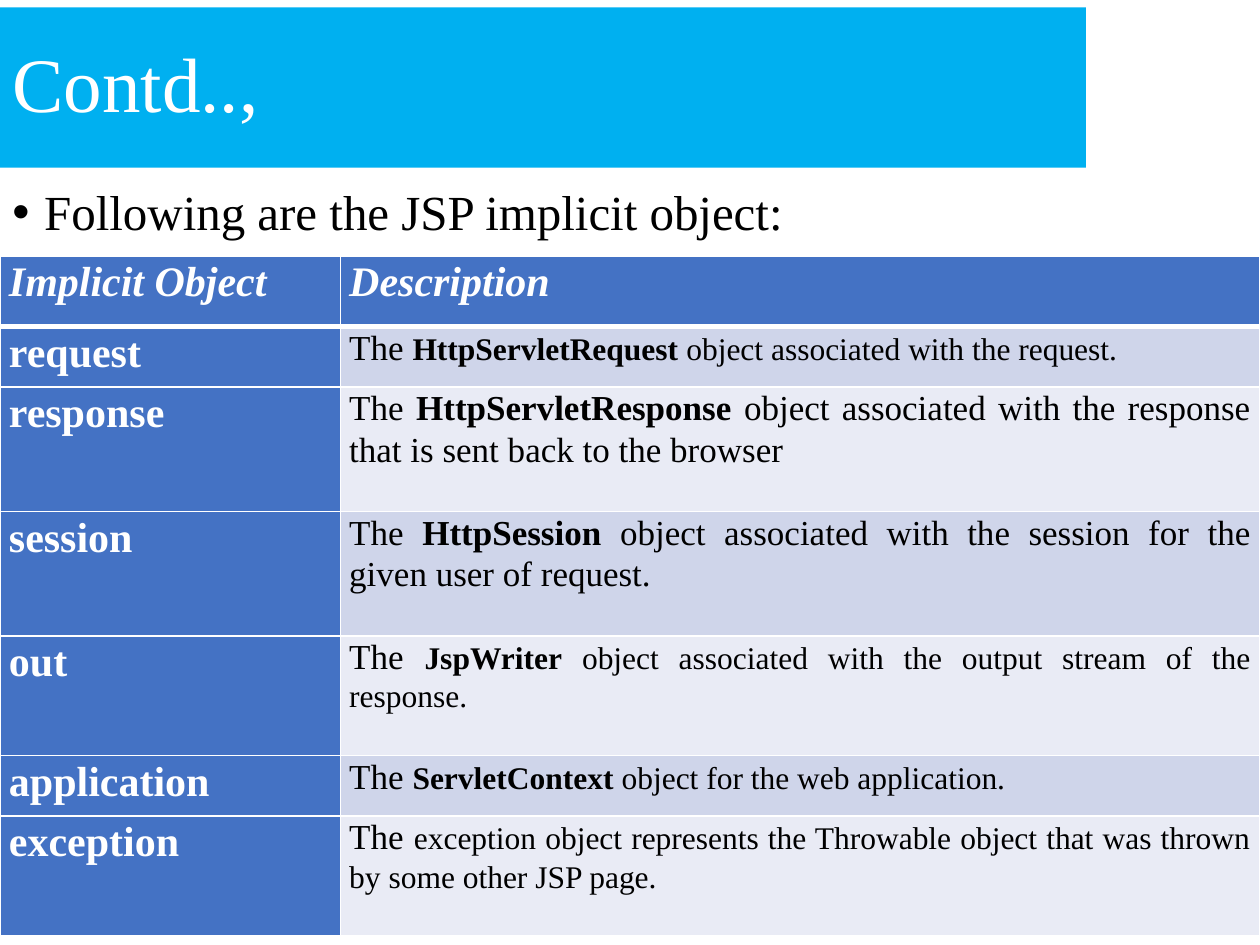
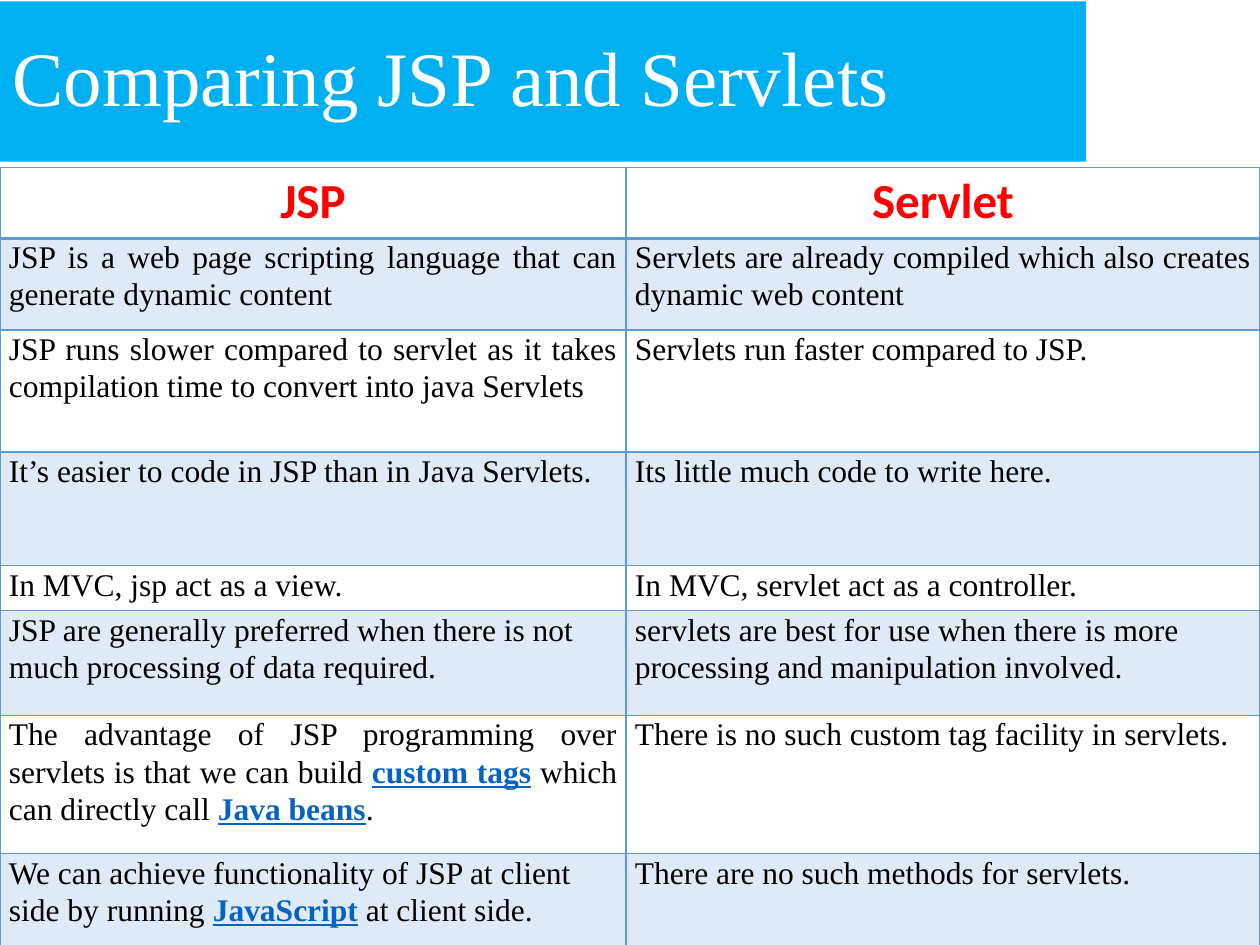
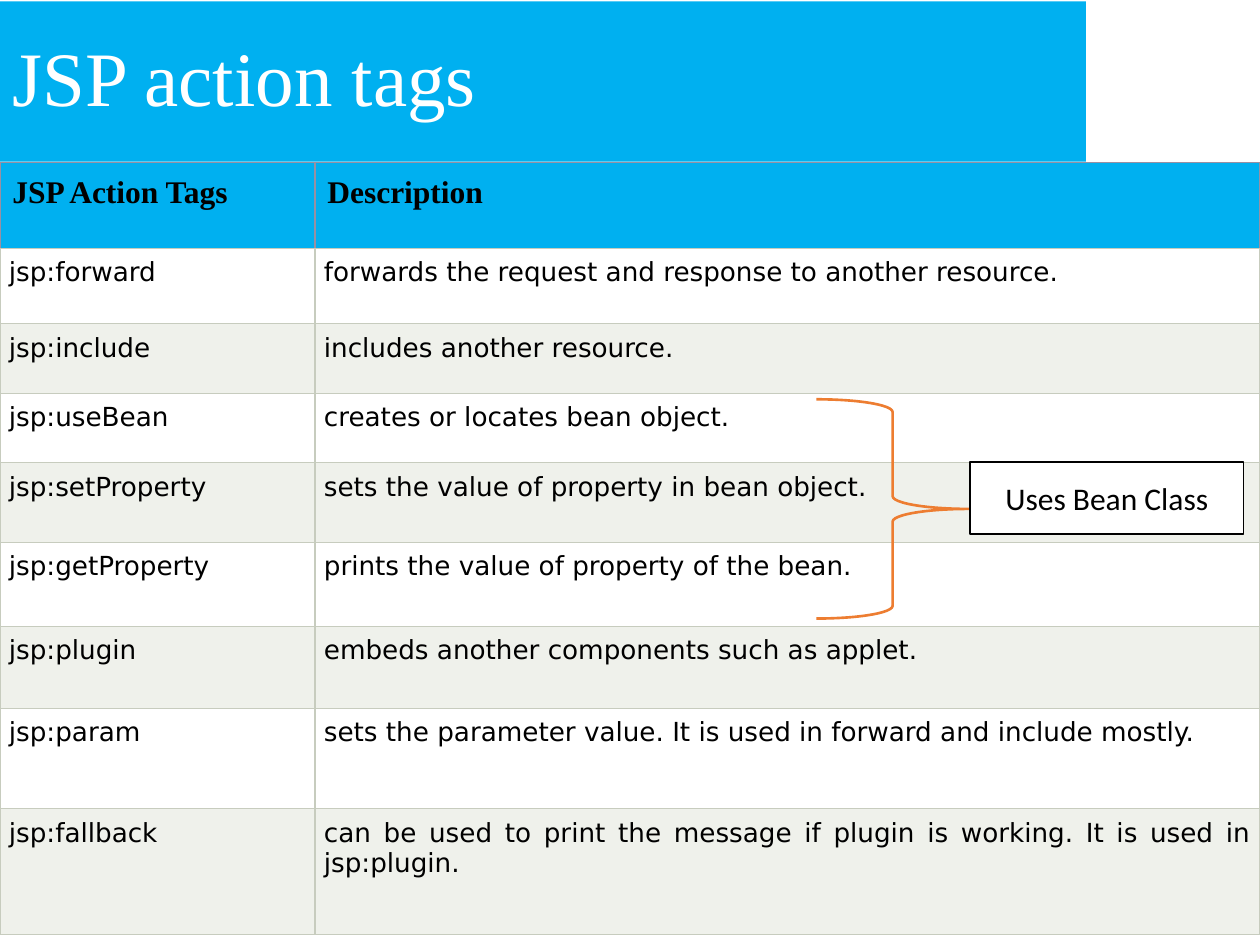
from lxml import etree
from pptx import Presentation
from pptx import util as u
from pptx.dml.color import RGBColor
from pptx.enum import shapes, text
from pptx.oxml import ns

BAND = RGBColor(0x00, 0xB0, 0xF0)
WHITE = RGBColor(0xFF, 0xFF, 0xFF)
BLACK = RGBColor(0x00, 0x00, 0x00)
RED = RGBColor(0xFF, 0x00, 0x00)
LINK = RGBColor(0x05, 0x63, 0xC1)
ORANGE = RGBColor(0xED, 0x7D, 0x31)
BLUE = RGBColor(0x44, 0x72, 0xC4)
LAVENDER = RGBColor(0xCF, 0xD5, 0xEA)
PALE_LAVENDER = RGBColor(0xE9, 0xEB, 0xF5)
SKY = RGBColor(0x5B, 0x9B, 0xD5)
PALE_SKY = RGBColor(0xDE, 0xEB, 0xF7)
SAGE = RGBColor(0xC7, 0xCC, 0xBE)
PALE_SAGE = RGBColor(0xEF, 0xF1, 0xEB)
MAUVE = RGBColor(0x98, 0x90, 0xA3)

SERIF = "Times New Roman"
SANS = "Calibri"
MONO_LIKE = "DejaVu Sans"
LEFT = text.PP_ALIGN.LEFT
CENTER = text.PP_ALIGN.CENTER
JUSTIFY = text.PP_ALIGN.JUSTIFY


def write(paragraph, words, font, size, colour, bold=False, align=LEFT, spacing=1.0):
    paragraph.alignment = align
    paragraph.line_spacing = spacing
    for index, part in enumerate(words.split("*")):
        if part:
            run = paragraph.add_run()
            run.text = part
            run.font.name = font
            run.font.size = u.Pt(size)
            run.font.color.rgb = colour
            run.font.bold = bold or index % 2 == 1


def draw_edge(cell, position, side, colour, width):
    properties = cell._tc.get_or_add_tcPr()
    line = etree.Element(ns.qn("a:ln" + side), w=str(u.Pt(width)))
    fill = etree.SubElement(line, ns.qn("a:solidFill"))
    etree.SubElement(fill, ns.qn("a:srgbClr"), val=str(colour))
    properties.insert(position, line)


prs = Presentation()
prs.slide_width = u.Cm(25.4)
prs.slide_height = u.Cm(19.05)

slides = []
for heading, top in [("Contd..,", 0.15), ("Comparing JSP and Servlets", 0.03), ("JSP action tags", 0.03)]:
    slide = prs.slides.add_slide(prs.slide_layouts[5])
    title = slide.shapes.title
    title.left, title.top = u.Cm(0), u.Cm(top)
    title.width, title.height = u.Cm(21.89), u.Cm(3.23)
    title.fill.solid()
    title.fill.fore_color.rgb = BAND
    title.text_frame.vertical_anchor = text.MSO_ANCHOR.MIDDLE
    write(title.text_frame.paragraphs[0], heading, SERIF, 44, WHITE, spacing=0.9)
    slides.append(slide)
objects_slide, comparison_slide, actions_slide = slides

intro = objects_slide.shapes.add_textbox(u.Cm(0), u.Cm(3.66), u.Cm(24.03), u.Cm(1.4))
intro.text_frame.word_wrap = True
intro_line = intro.text_frame.paragraphs[0]
write(intro_line, "Following are the JSP implicit object:", SERIF, 28, BLACK, spacing=0.9)
intro_properties = intro_line._p.get_or_add_pPr()
intro_properties.set("marL", str(u.Cm(0.64)))
intro_properties.set("indent", str(-u.Cm(0.64)))
etree.SubElement(intro_properties, ns.qn("a:buFont"), typeface="Arial")
etree.SubElement(intro_properties, ns.qn("a:buChar"), char="•")

grids = [
    (objects_slide, 5.16, [6.86, 18.54], [1.42, 1.22, 2.51, 2.51, 2.41, 1.22, 2.41],
     WHITE, WHITE, 1, 3, 0),
    (comparison_slide, 3.38, [12.62, 12.78], [1.42, 1.85, 2.46, 2.29, 0.91, 2.11, 2.79, 1.85],
     SKY, SKY, 1, 2, 0),
    (actions_slide, 3.28, [6.35, 19.05], [1.73, 1.52, 1.4, 1.4, 1.6, 1.7, 1.65, 2.03, 2.54],
     SAGE, MAUVE, 0.75, 0.75, 0.18),
]
tables = []
for slide, top, widths, heights, edge, header_edge, thin, rule, padding in grids:
    table = slide.shapes.add_table(
        len(heights), len(widths), u.Cm(0), u.Cm(top), u.Cm(sum(widths)), u.Cm(sum(heights))).table
    table.horz_banding = False
    for column, width in zip(table.columns, widths):
        column.width = u.Cm(width)
    for r, height in enumerate(heights):
        table.rows[r].height = u.Cm(height)
        for cell in table.rows[r].cells:
            cell.margin_left = cell.margin_right = u.Cm(0.18)
            cell.margin_top = cell.margin_bottom = u.Cm(padding)
            for position, side in enumerate("LRTB"):
                colour = header_edge if r == 0 and side != "B" else edge
                under_header = (r, side) in [(0, "B"), (1, "T")]
                draw_edge(cell, position, side, colour, rule if under_header else thin)
    tables.append(table)
objects_table, comparison_table, actions_table = tables

implicit_objects = [
    ("request", "*HttpServletRequest* object associated with the request.", 18),
    ("response", "*HttpServletResponse* object associated with the response that is sent back to the browser", 20),
    ("session", "*HttpSession* object associated with the session for the given user of request.", 20),
    ("out", "*JspWriter* object associated with the output stream of the response.", 18),
    ("application", "*ServletContext* object for the web application.", 18),
    ("exception", "exception object represents the Throwable object that was thrown by some other JSP page.", 18),
]
for cell, label in zip(objects_table.rows[0].cells, ["Implicit Object", "Description"]):
    cell.fill.solid()
    cell.fill.fore_color.rgb = BLUE
    header = cell.text_frame.paragraphs[0]
    write(header, label, SERIF, 24, WHITE, True, JUSTIFY, 1.07)
    header.runs[0].font.italic = True
for r, (name, description, size) in enumerate(implicit_objects, 1):
    name_cell, description_cell = objects_table.rows[r].cells
    name_cell.fill.solid()
    name_cell.fill.fore_color.rgb = BLUE
    write(name_cell.text_frame.paragraphs[0], name, SERIF, 24, WHITE, True, JUSTIFY, 1.07)
    description_cell.fill.solid()
    description_cell.fill.fore_color.rgb = LAVENDER if r % 2 else PALE_LAVENDER
    sentence = description_cell.text_frame.paragraphs[0]
    write(sentence, "The ", SERIF, 20, BLACK, align=JUSTIFY, spacing=1.07)
    write(sentence, description, SERIF, size, BLACK, align=JUSTIFY, spacing=1.07)

differences = [
    ("JSP is a web page scripting language that can generate dynamic content",
     "Servlets are already compiled which also creates dynamic web content", JUSTIFY),
    ("JSP runs slower compared to servlet as it takes compilation time to convert into java Servlets",
     "Servlets run faster compared to JSP.", JUSTIFY),
    ("It’s easier to code in JSP than in Java Servlets.",
     "Its little much code to write here.", LEFT),
    ("In MVC, jsp act as a view.",
     "In MVC, servlet act as a controller.", JUSTIFY),
    ("JSP are generally preferred when there is not much processing of data required.",
     "servlets are best for use when there is more processing and manipulation involved.", LEFT),
    ("The advantage of JSP programming over servlets is that we can build *custom tags* which "
     "can directly call *Java beans*.",
     "There is no such custom tag facility in servlets.", JUSTIFY),
    ("We can achieve functionality of JSP at client side by running *JavaScript* at client side.",
     "There are no such methods for servlets.", LEFT),
]
for cell, label in zip(comparison_table.rows[0].cells, ["JSP", "Servlet"]):
    cell.fill.background()
    write(cell.text_frame.paragraphs[0], label, SANS, 28, RED, True, CENTER, 1.07)
for r, (jsp, servlet, align) in enumerate(differences, 1):
    for cell, statement in zip(comparison_table.rows[r].cells, [jsp, servlet]):
        if r % 2:
            cell.fill.solid()
            cell.fill.fore_color.rgb = PALE_SKY
        else:
            cell.fill.background()
        paragraph = cell.text_frame.paragraphs[0]
        write(paragraph, statement, SERIF, 18, BLACK, align=align, spacing=1.07)
        for run in paragraph.runs:
            if run.font.bold:
                run.font.color.rgb = LINK
                run.font.underline = True

actions = [
    ("jsp:forward", "forwards the request and response to another resource."),
    ("jsp:include", "includes another resource."),
    ("jsp:useBean", "creates or locates bean object."),
    ("jsp:setProperty", "sets the value of property in bean object."),
    ("jsp:getProperty", "prints the value of property of the bean."),
    ("jsp:plugin", "embeds another components such as applet."),
    ("jsp:param", "sets the parameter value. It is used in forward and include mostly."),
    ("jsp:fallback", "can be used to print the message if plugin is working. It is used in jsp:plugin."),
]
for cell, label in zip(actions_table.rows[0].cells, ["JSP Action Tags", "Description"]):
    cell.margin_left = cell.margin_right = cell.margin_top = cell.margin_bottom = u.Cm(0.25)
    cell.fill.solid()
    cell.fill.fore_color.rgb = BAND
    write(cell.text_frame.paragraphs[0], label, SERIF, 18, BLACK, True)
for r, action in enumerate(actions, 1):
    for cell, words in zip(actions_table.rows[r].cells, action):
        cell.fill.solid()
        cell.fill.fore_color.rgb = WHITE if r % 2 else PALE_SAGE
        write(cell.text_frame.paragraphs[0], words, MONO_LIKE, 15, BLACK, align=JUSTIFY)

bean_brace = actions_slide.shapes.add_shape(
    shapes.MSO_SHAPE.RIGHT_BRACE, u.Cm(16.46), u.Cm(8.05), u.Cm(3.07), u.Cm(4.42))
bean_brace.shadow.inherit = False
bean_brace.fill.background()
bean_brace.line.color.rgb = ORANGE
bean_brace.line.width = u.Pt(1.5)

bean_note = actions_slide.shapes.add_shape(
    shapes.MSO_SHAPE.RECTANGLE, u.Cm(19.56), u.Cm(9.32), u.Cm(5.51), u.Cm(1.45))
bean_note.shadow.inherit = False
bean_note.fill.solid()
bean_note.fill.fore_color.rgb = WHITE
bean_note.line.color.rgb = BLACK
bean_note.line.width = u.Pt(1)
bean_note.text_frame.vertical_anchor = text.MSO_ANCHOR.MIDDLE
write(bean_note.text_frame.paragraphs[0], "Uses Bean Class", SANS, 18, BLACK, align=CENTER)

prs.save("out.pptx")
